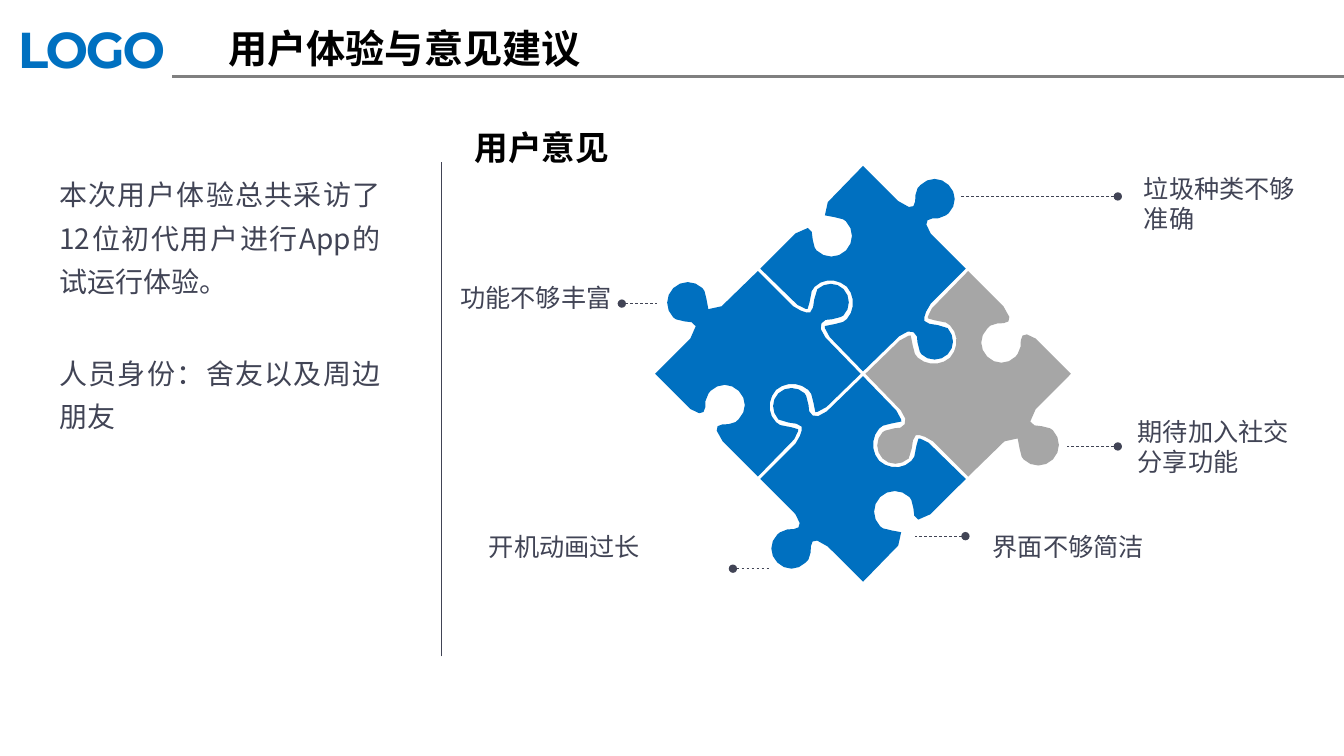
from dataclasses import dataclass
from math import dist

from lxml import etree
from pptx import Presentation
from pptx.dml.color import RGBColor
from pptx.enum.dml import MSO_LINE
from pptx.enum.shapes import MSO_CONNECTOR
from pptx.enum.text import MSO_ANCHOR, MSO_AUTO_SIZE, PP_ALIGN
from pptx.oxml.ns import qn
from pptx.util import Cm, Pt

LEFT, CENTER, JUSTIFY = PP_ALIGN.LEFT, PP_ALIGN.CENTER, PP_ALIGN.JUSTIFY
TOP = MSO_ANCHOR.TOP
NO_AUTOFIT = MSO_AUTO_SIZE.NONE
DASH = MSO_LINE.DASH
STRAIGHT = MSO_CONNECTOR.STRAIGHT


@dataclass(frozen=True)
class Theme:
    blue: str = "0070C0"
    gray: str = "A6A6A6"
    rule: str = "808080"
    ink: str = "414455"
    black: str = "000000"
    font: str = "Noto Sans CJK SC"
    logo_font: str = "Montserrat"
    logo_size: int = 36
    title_size: int = 28
    heading_size: int = 24
    body_size: int = 20
    label_size: int = 18


THEME = Theme()

# Puzzle geometry in cm
HUB = (21.75, 9.42)
PITCH = 2.65
HALF = 2.59  # centre of a piece to its corner
CURVE_STEP = 0.18
UNITS_PER_CM = 1000

# Upper-right edge of a piece, hundredths of an inch from its centre:
# two numbers end a straight line, six give a Bezier curve.
SLIM_EDGE = [
    (35, -67), (45, -60, 48, -60, 50, -62), (52, -64, 52, -69, 52, -73),
    (52, -79, 56, -82, 57, -83), (65, -91, 77, -91, 85, -83), (93, -75, 93, -63, 85, -55),
    (85, -55, 81, -51, 75, -50), (71, -50, 66, -50, 64, -48), (62, -46, 62, -43, 67, -35),
]
WIDE_EDGE = [
    (35, -67), (53, -55, 51, -66, 52, -73), (52, -80, 56, -84, 56, -84),
    (64, -92, 77, -92, 85, -84), (93, -76, 93, -63, 85, -55), (85, -55, 81, -51, 74, -51),
    (67, -50, 57, -52, 67, -36),
]
INNER_TAB = [
    (35, -67), (44, -61, 49, -60, 52, -61), (55, -63, 55, -68, 56, -74),
    (56, -80, 59, -84, 59, -84), (67, -91, 78, -91, 85, -84), (92, -77, 92, -65, 85, -58),
    (85, -58, 82, -55, 73, -54), (69, -54, 65, -54, 63, -50), (61, -47, 62, -43, 67, -36),
]
INNER_SOCKET = [
    (33, -68), (39, -59, 38, -57, 38, -57), (37, -56, 33, -56, 28, -55),
    (21, -55, 17, -51, 16, -50), (8, -41, 8, -27, 16, -18), (25, -10, 39, -9, 48, -18),
    (49, -19, 53, -23, 53, -33), (53, -35, 54, -39, 55, -40), (55, -40, 57, -41, 65, -36),
]


def edge_points(edge):
    """Flatten an edge into points in cm, starting at the top corner."""
    points = [(0, -HALF)]
    for segment in edge:
        values = [value * 0.0254 for value in segment]
        pairs = list(zip(values[::2], values[1::2]))
        if len(pairs) == 1:
            points += pairs
            continue
        controls = [points[-1], *pairs]
        steps = max(1, round(dist(controls[0], controls[-1]) / CURVE_STEP))
        for step in range(1, steps + 1):
            t = step / steps
            weights = ((1 - t) ** 3, 3 * t * (1 - t) ** 2, 3 * t * t * (1 - t), t ** 3)
            points.append(tuple(sum(w * c[axis] for w, c in zip(weights, controls))
                                for axis in (0, 1)))
    return points


def mirrored(points):
    """Turn a tab into a socket by reflecting it in the edge's straight line."""
    return [(HALF + y, x - HALF) for x, y in points]


def add_piece(slide, direction, edges, color):
    """Add a piece; edges run clockwise from the upper right."""
    center = [hub + PITCH * step for hub, step in zip(HUB, direction)]
    outline = []
    for turns, points in enumerate(edges):
        for _ in range(turns):
            points = [(-y, x) for x, y in points]
        outline += [((center[0] + x) * UNITS_PER_CM, (center[1] + y) * UNITS_PER_CM)
                    for x, y in points]
    builder = slide.shapes.build_freeform(*outline[0], scale=Cm(1) / UNITS_PER_CM)
    builder.add_line_segments(outline[1:], close=True)
    piece = builder.convert_to_shape()
    piece.shadow.inherit = False
    piece.fill.solid()
    piece.fill.fore_color.rgb = RGBColor.from_string(color)
    piece.line.fill.background()


def add_line(slide, start, end, color, width, dotted=False):
    """Add a line; a dotted one is dashed and starts with a round dot."""
    line = slide.shapes.add_connector(STRAIGHT, *(Cm(value) for value in (*start, *end)))
    line.line.color.rgb = RGBColor.from_string(color)
    line.line.width = Pt(width)
    properties = line._element.spPr
    if dotted:
        line.line.dash_style = DASH
        etree.SubElement(properties.find(qn("a:ln")), qn("a:headEnd"), type="oval")
    etree.SubElement(properties, qn("a:effectLst"))


def fill_text(shape, box, texts, size, color=THEME.ink, font=THEME.font, bold=False,
              spacing=None, **paragraph_format):
    """Place a text shape and write one formatted paragraph per text."""
    for name, value in zip(("left", "top", "width", "height"), box):
        setattr(shape, name, Cm(value))
    frame = shape.text_frame
    frame_format = {"word_wrap": True, "auto_size": NO_AUTOFIT, "vertical_anchor": TOP}
    for name, value in frame_format.items():
        setattr(frame, name, value)
    for index, text in enumerate(texts):
        paragraph = frame.add_paragraph() if index else frame.paragraphs[0]
        formats = {"alignment": LEFT, "space_before": Pt(0), **paragraph_format}
        if not index:
            formats["space_before"] = Pt(0)
        for name, value in formats.items():
            setattr(paragraph, name, value)
        run = paragraph.add_run()
        run.text = text
        for name, value in {"name": font, "size": Pt(size), "bold": bold}.items():
            setattr(run.font, name, value)
        run.font.color.rgb = RGBColor.from_string(color)
        properties = run._r.get_or_add_rPr()
        properties.find(qn("a:latin")).addnext(etree.Element(qn("a:ea"), typeface=font))
        if spacing:
            properties.set("spc", str(spacing))


def remove_bullets(shape):
    for paragraph in shape.text_frame.paragraphs:
        properties = paragraph._p.get_or_add_pPr()
        properties.set("marL", "0")
        properties.set("indent", "0")
        etree.SubElement(properties, qn("a:buNone"))


def add_text(slide, box, text, size, **formats):
    shape = slide.shapes.add_textbox(*(Cm(value) for value in box))
    fill_text(shape, box, [text], size, **formats)


def add_puzzle(slide):
    slim, wide, tab, socket = map(edge_points,
                                  (SLIM_EDGE, WIDE_EDGE, INNER_TAB, INNER_SOCKET))
    add_piece(slide, (0, -1), (slim, tab, socket, mirrored(wide)), THEME.blue)
    add_piece(slide, (1, 0), (mirrored(slim), wide, tab, socket), THEME.gray)
    add_piece(slide, (0, 1), (socket, mirrored(wide), slim, tab), THEME.blue)
    add_piece(slide, (-1, 0), (tab, socket, mirrored(slim), wide), THEME.blue)


def add_opinions(slide):
    opinions = [  # text, box, dot position, far end of the leader
        ("功能不够丰富", (11.35, 6.98, 4.4, 1.02), (15.67, 7.65), 16.56),
        ("垃圾种类不够准确", (28.58, 4.24, 4.39, 1.8), (28.17, 4.95), 24.21),
        ("期待加入社交分享功能", (28.42, 10.36, 4.39, 1.8), (28.17, 11.25), 26.9),
        ("界面不够简洁", (24.77, 13.26, 6.22, 1.02), (24.33, 13.51), 23.06),
        ("开机动画过长", (12.07, 13.26, 6.22, 1.02), (18.47, 14.33), 19.38),
    ]
    for text, box, dot, end in opinions:
        add_text(slide, box, text, THEME.label_size)
        add_line(slide, dot, (end, dot[1]), THEME.ink, 0.5, dotted=True)


def main():
    presentation = Presentation()
    presentation.slide_width, presentation.slide_height = Cm(33.87), Cm(19.05)
    slide = presentation.slides.add_slide(presentation.slide_layouts[1])
    title, body = slide.placeholders

    add_text(slide, (0.2, 0.33, 4.72, 1.88), "LOGO", THEME.logo_size, color=THEME.blue,
             font=THEME.logo_font, bold=True, spacing=-150)
    add_line(slide, (4.34, 1.93), (33.87, 1.93), THEME.rule, 2)
    fill_text(title, (4.72, 0.48, 10.95, 1.45), ["用户体验与意见建议"], THEME.title_size,
              color=THEME.black, bold=True, alignment=CENTER)
    fill_text(body, (1.24, 4.09, 8.61, 12.4),
              ["本次用户体验总共采访了12位初代用户进行App的试运行体验。",
               "人员身份：舍友以及周边朋友"],
              THEME.body_size, alignment=JUSTIFY, line_spacing=1.3, space_before=Pt(34))
    remove_bullets(body)
    add_line(slide, (11.13, 16.54), (11.13, 4.09), THEME.ink, 0.25)
    add_text(slide, (11.71, 3.07, 5.59, 1.27), "用户意见", THEME.heading_size,
             color=THEME.black, bold=True)
    add_puzzle(slide)
    add_opinions(slide)
    presentation.save("out.pptx")


if __name__ == "__main__":
    main()
